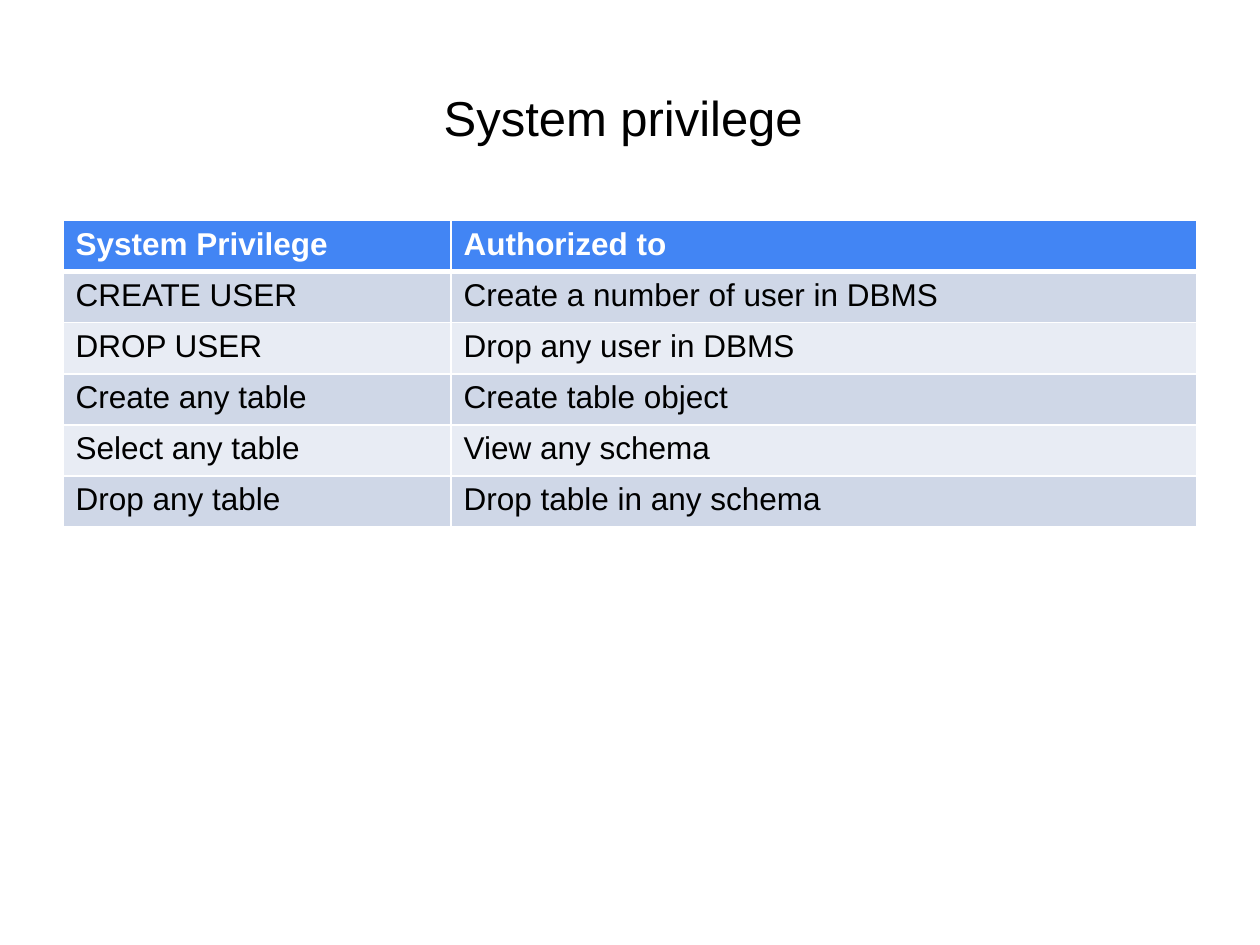
import pptx
import pptx.util
import pptx.dml.color
import pptx.enum.text
import pptx.oxml
import pptx.oxml.ns

Pt = pptx.util.Pt


def rgb(value):
    return pptx.dml.color.RGBColor.from_string(value)


def add_run(p, text, size, color, bold=False):
    r = p.add_run()
    r.text = text
    r.font.name = "Arial"
    r.font.size = Pt(size)
    r.font.bold = bold
    r.font.color.rgb = rgb(color)


prs = pptx.Presentation()
prs.slide_width = Pt(720)
prs.slide_height = Pt(540)
s = prs.slides.add_slide(prs.slide_layouts[5])

title = s.shapes.title
title.left, title.top, title.width, title.height = Pt(36), Pt(21.6), Pt(648), Pt(90)
tf = title.text_frame
tf.word_wrap = True
tf.vertical_anchor = pptx.enum.text.MSO_ANCHOR.MIDDLE
p = tf.paragraphs[0]
p.alignment = pptx.enum.text.PP_ALIGN.CENTER
add_run(p, "System privilege ", 28, "000000")

rows = [
    ("System Privilege", "Authorized to"),
    ("CREATE USER", "Create a number of user in DBMS"),
    ("DROP USER", "Drop any user in DBMS"),
    ("Create any table", "Create table object"),
    ("Select any table", "View any schema"),
    ("Drop any table", "Drop table in any schema"),
]
col_widths = [221.76, 426.24]
row_height = 29.2

sp = s.shapes.add_table(len(rows), len(col_widths), Pt(36), Pt(126),
                        Pt(sum(col_widths)), Pt(row_height * len(rows)))
table = sp.table
for column, width in zip(table.columns, col_widths):
    column.width = Pt(width)

for i, texts in enumerate(rows):
    table.rows[i].height = Pt(row_height)
    header = i == 0
    fill = "4285F4" if header else ("E8ECF4", "CFD7E7")[i % 2]
    borders = {"L": 1, "R": 1, "T": 3 if i == 1 else 1, "B": 3 if header else 1}
    for j, text in enumerate(texts):
        cell = table.cell(i, j)
        tcPr = cell._tc.get_or_add_tcPr()
        for side, width in borders.items():
            tcPr.append(pptx.oxml.parse_xml(
                f'<a:ln{side} {pptx.oxml.ns.nsdecls("a")} w="{Pt(width)}">'
                '<a:solidFill><a:srgbClr val="FFFFFF"/></a:solidFill>'
                f'</a:ln{side}>'))
        cell.fill.solid()
        cell.fill.fore_color.rgb = rgb(fill)
        add_run(cell.text_frame.paragraphs[0], text, 18,
                "FFFFFF" if header else "000000", header)

prs.save("out.pptx")
